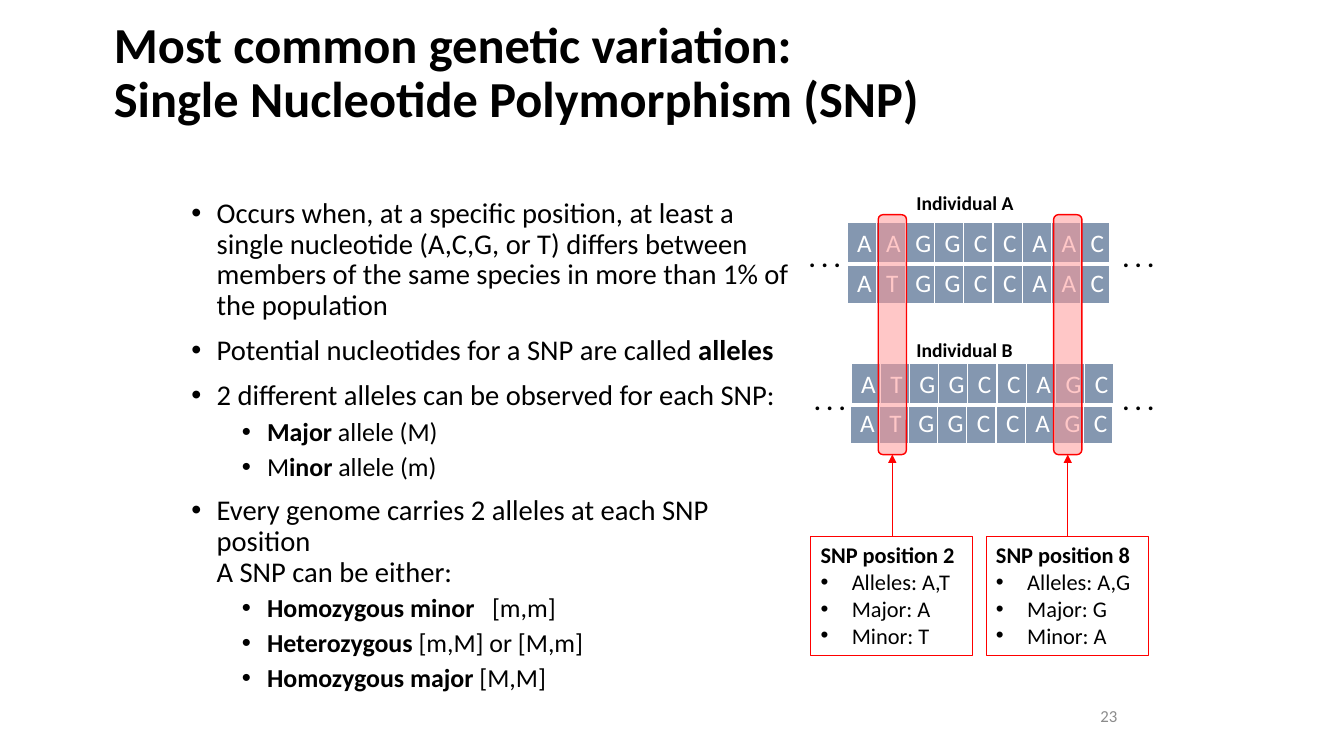
from dataclasses import dataclass
from typing import Any, NamedTuple

from pptx import Presentation
from pptx.dml.color import RGBColor
from pptx.enum.shapes import MSO_CONNECTOR, MSO_SHAPE
from pptx.enum.text import MSO_ANCHOR, MSO_AUTO_SIZE, PP_ALIGN
from pptx.oxml.ns import qn
from pptx.util import Inches, Pt
from lxml import etree

LEFT, CENTER, RIGHT = PP_ALIGN.LEFT, PP_ALIGN.CENTER, PP_ALIGN.RIGHT
TOP, MIDDLE = MSO_ANCHOR.TOP, MSO_ANCHOR.MIDDLE
NO_FIT, GROW = MSO_AUTO_SIZE.NONE, MSO_AUTO_SIZE.SHAPE_TO_FIT_TEXT
RECT, ROUND_RECT = MSO_SHAPE.RECTANGLE, MSO_SHAPE.ROUNDED_RECTANGLE
STRAIGHT = MSO_CONNECTOR.STRAIGHT


@dataclass(frozen=True)
class Theme:
    font: str = "Calibri"
    black: str = "000000"
    white: str = "FFFFFF"
    grey: str = "8C8C8C"
    base: str = "8497B0"
    red: str = "FF0000"
    pink: str = "FF9999"
    title: float = 36
    body: float = 20.4
    sub: float = 18.5
    letter: float = 18
    note: float = 16
    label: float = 14
    number: float = 12


T = Theme()


class Box(NamedTuple):
    left: float
    top: float
    width: float
    height: float


class Run(NamedTuple):
    text: str
    bold: bool = False
    spacing: float = 0


@dataclass(frozen=True)
class Para:
    runs: tuple[Run, ...]
    size: float
    color: str = T.black
    align: Any = LEFT
    margin: float = 0
    hang: float = 0
    line: float = 1
    before: float = 0


class Strand(NamedTuple):
    left: float
    top: float
    bases: str


class Snp(NamedTuple):
    position: int
    center: float
    alleles: str
    major: str
    minor: str


TITLE = Para((Run("Most common genetic variation: \nSingle Nucleotide Polymorphism (SNP)", True),), T.title, line=0.9)


def point(*runs: Run, before: float = 10) -> Para:
    return Para(runs, T.body, margin=0.25, hang=0.25, line=0.9, before=before)


def subpoint(*runs: Run) -> Para:
    return Para(runs, T.sub, margin=0.75, hang=0.25, line=0.9, before=5)


BODY = [
    point(Run("Occurs when, at a specific position, at least a single nucleotide (A,C,G, or T) "
              "differs between members of the same species in more than 1% of the population"), before=0),
    point(Run("Potential nucleotides for a SNP are called "), Run("alleles", True)),
    point(Run("2 different alleles can be observed for each SNP:")),
    subpoint(Run("Major", True), Run(" allele (M)")),
    subpoint(Run("M"), Run("inor", True), Run(" allele (m)")),
    point(Run("Every genome carries 2 alleles at each SNP position\nA SNP can be either:")),
    subpoint(Run("Homozygous minor", True), Run(" ", True, 8.4), Run("[m,m]")),
    subpoint(Run("Heterozygous", True), Run(" [m,M] or [M,m]")),
    subpoint(Run("Homozygous major ", True), Run("[M,M]")),
]
STRANDS = [
    Strand(8.4, 2.61, "ATGGCCAAC"),
    Strand(8.4, 2.21, "AAGGCCAAC"),
    Strand(8.43, 4.0, "ATGGCCAGC"),
    Strand(8.44, 3.61, "ATGGCCAGC"),
]
LABELS = {"Individual A": 1.84, "Individual B": 3.3}
DOTS = [(7.92, 2.36), (11.03, 2.36), (7.97, 3.77), (11.03, 3.77)]
SNPS = [Snp(2, 8.85, "A,T", "A", "T"), Snp(8, 10.59, "A,G", "G", "A")]
COLUMN, ROW = 0.29, 0.41


def inches(box: Box) -> list[int]:
    return [Inches(v) for v in box]


def apply(target: Any, values: dict[str, Any]) -> None:
    for name, value in values.items():
        setattr(target, name, value)


def write(tf: Any, paras: list[Para], **frame: Any) -> None:
    apply(tf, {"word_wrap": True, **frame})
    for i, para in enumerate(paras):
        p = tf.paragraphs[0] if i == 0 else tf.add_paragraph()
        if para.hang:
            pPr = p._p.get_or_add_pPr()
            pPr.set("marL", str(Inches(para.margin)))
            pPr.set("indent", str(-Inches(para.hang)))
            etree.SubElement(pPr, qn("a:buFont")).set("typeface", "Arial")
            etree.SubElement(pPr, qn("a:buChar")).set("char", "•")
        apply(p, {"alignment": para.align, "line_spacing": para.line, "space_before": Pt(para.before)})
        for run in para.runs:
            for n, text in enumerate(run.text.split("\n")):
                if n:
                    p.add_line_break()
                r = p.add_run()
                r.text = text
                apply(r.font, {"name": T.font, "size": Pt(para.size), "bold": run.bold})
                r.font.color.rgb = RGBColor.from_string(para.color)
                if run.spacing:
                    r._r.get_or_add_rPr().set("spc", str(round(run.spacing * 100)))


def add_text(s: Any, box: Box, paras: list[Para], **frame: Any) -> None:
    write(s.shapes.add_textbox(*inches(box)).text_frame, paras, **frame)


def add_strand(s: Any, strand: Strand) -> None:
    count = len(strand.bases)
    box = Box(strand.left, strand.top, count * COLUMN, ROW)
    table = s.shapes.add_table(1, count, *inches(box)).table
    apply(table, {"first_row": False, "horz_banding": False})
    table.rows[0].height = Inches(ROW)
    for i, base in enumerate(strand.bases):
        table.columns[i].width = Inches(COLUMN)
        cell = table.cell(0, i)
        tcPr = cell._tc.get_or_add_tcPr()
        for side, width in {"L": 1, "R": 1, "T": 1, "B": 3}.items():
            ln = etree.SubElement(tcPr, qn(f"a:ln{side}"), w=str(Pt(width)))
            fill = etree.SubElement(ln, qn("a:solidFill"))
            etree.SubElement(fill, qn("a:srgbClr")).set("val", T.white)
        cell.fill.solid()
        cell.fill.fore_color.rgb = RGBColor.from_string(T.base)
        cell.vertical_anchor = MIDDLE
        write(cell.text_frame, [Para((Run(base),), T.letter, T.white, CENTER)])


def add_outlined(s: Any, kind: Any, box: Box, width: float) -> Any:
    sp = s.shapes.add_shape(kind, *inches(box))
    sp.shadow.inherit = False
    sp.fill.background()
    sp.line.color.rgb = RGBColor.from_string(T.red)
    sp.line.width = Pt(width)
    return sp


def add_snp(s: Any, snp: Snp) -> None:
    band = add_outlined(s, ROUND_RECT, Box(snp.center - 1.19, 3.18, 2.38, 0.28), 1)
    band.rotation = 90
    band.fill.solid()
    band.fill.fore_color.rgb = RGBColor.from_string(T.pink)
    color = band.element.spPr.find(qn("a:solidFill")).find(qn("a:srgbClr"))
    etree.SubElement(color, qn("a:alpha")).set("val", "55000")

    x = Inches(snp.center)
    arrow = s.shapes.add_connector(STRAIGHT, x, Inches(4.51), x, Inches(5.32))
    arrow.line.color.rgb = RGBColor.from_string(T.red)
    arrow.line.width = Pt(0.5)
    etree.SubElement(arrow.line._get_or_add_ln(), qn("a:headEnd")).set("type", "triangle")
    etree.SubElement(arrow.element.spPr, qn("a:effectLst"))

    note = add_outlined(s, RECT, Box(snp.center - 0.81, 5.32, 1.61, 1.18), 0.75)
    facts = [f"Alleles: {snp.alleles}", f"Major: {snp.major}", f"Minor: {snp.minor}"]
    paras = [Para((Run(f"SNP position {snp.position}", True),), T.note)]
    paras += [Para((Run(fact),), T.note, margin=0.31, hang=0.31) for fact in facts]
    write(note.text_frame, paras, vertical_anchor=TOP, auto_size=GROW)


def main() -> None:
    prs = Presentation()
    apply(prs, {"slide_width": Inches(13.33), "slide_height": Inches(7.5)})
    s = prs.slides.add_slide(prs.slide_layouts[5])
    title = s.shapes.title
    apply(title, dict(zip(Box._fields, inches(Box(1.03, 0.11, 10.15, 1.25)))))
    write(title.text_frame, [TITLE], vertical_anchor=MIDDLE, auto_size=NO_FIT)
    add_text(s, Box(1.8, 1.92, 6.25, 5.25), BODY)
    add_text(s, Box(8.85, 6.84, 2.33, 0.52), [Para((Run("23"),), T.number, T.grey, RIGHT)], vertical_anchor=MIDDLE)
    for strand in STRANDS:
        add_strand(s, strand)
    for label, top in LABELS.items():
        add_text(s, Box(8.99, top, 1.54, 0.34), [Para((Run(label, True),), T.label)], auto_size=GROW)
    for left, top in DOTS:
        dots = Para((Run(". . .", True),), T.letter, align=CENTER)
        add_text(s, Box(left, top, 0.52, 0.4), [dots], word_wrap=False, auto_size=GROW)
    for snp in SNPS:
        add_snp(s, snp)
    prs.save("out.pptx")


if __name__ == "__main__":
    main()
